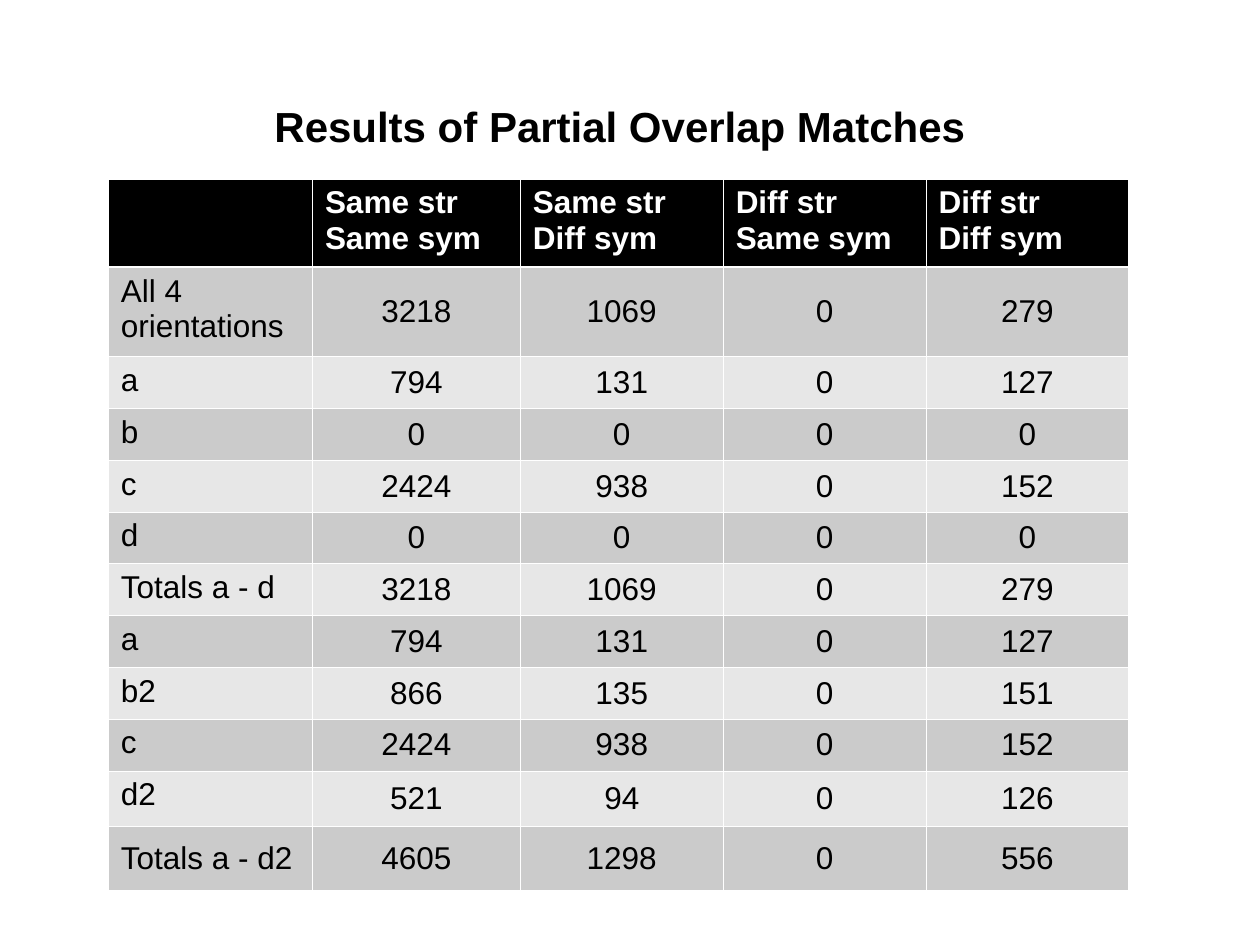
import pptx
import pptx.util
import pptx.dml.color
import pptx.enum.text
import pptx.oxml
import pptx.oxml.ns

SIZE = (10, 7.5)
TITLE = "Results of Partial Overlap Matches"
HEAD = ["", "Same str\nSame sym", "Same str\nDiff sym", "Diff str \nSame sym", "Diff str\nDiff sym"]
BODY = [
    ("All 4 orientations", 3218, 1069, 0, 279),
    ("a", 794, 131, 0, 127),
    ("b", 0, 0, 0, 0),
    ("c", 2424, 938, 0, 152),
    ("d", 0, 0, 0, 0),
    ("Totals a - d", 3218, 1069, 0, 279),
    ("a", 794, 131, 0, 127),
    ("b2", 866, 135, 0, 151),
    ("c", 2424, 938, 0, 152),
    ("d2", 521, 94, 0, 126),
    ("Totals a - d2", 4605, 1298, 0, 556),
]
ROWS = [HEAD] + BODY
LAST = len(ROWS) - 1
LEFT, TOP, WIDE, HIGH = 0.86, 1.42, 8.1, 5.65
COLS = [1.62, 1.65, 1.61, 1.61, 1.61]
TALL = {0: 0.7, 1: 0.71, LAST - 1: 0.44, LAST: 0.51}
REST = (HIGH - sum(TALL.values())) / (len(ROWS) - len(TALL))
BANDS = ["E7E7E7", "CBCBCB"]
THIN, THICK = 0.45, 1.47

Inch, Pt = pptx.util.Inches, pptx.util.Pt
ALIGN, ANCHOR = pptx.enum.text.PP_ALIGN, pptx.enum.text.MSO_ANCHOR


def tint(code):
    return pptx.dml.color.RGBColor.from_string(code)


def style(frame, code, size, bold, align):
    looks = {"name": "Arial", "size": Pt(size), "bold": bold}
    for para in frame.paragraphs:
        para.alignment = align
        for key, val in looks.items():
            setattr(para.font, key, val)
        para.font.color.rgb = tint(code)
        for run in para.runs:
            for key, val in looks.items():
                setattr(run.font, key, val)
            run.font.color.rgb = tint(code)


def edge(cell, side, width):
    cell._tc.get_or_add_tcPr().append(pptx.oxml.parse_xml(
        f'<a:ln{side} {pptx.oxml.ns.nsdecls("a")} w="{int(Pt(width))}">'
        f'<a:solidFill><a:srgbClr val="FFFFFF"/></a:solidFill></a:ln{side}>'))


deck = pptx.Presentation()
deck.slide_width, deck.slide_height = map(Inch, SIZE)
slide = deck.slides.add_slide(deck.slide_layouts[6])

grid = slide.shapes.add_table(
    len(ROWS), len(COLS), *map(Inch, (LEFT, TOP, WIDE, HIGH))).table
for col, wide in zip(grid.columns, COLS):
    col.width = Inch(wide)

for r, row in enumerate(ROWS):
    grid.rows[r].height = Inch(TALL.get(r, REST))
    top = r == 0
    lines = {"L": THIN, "R": THIN, "T": THICK if r == 1 else THIN, "B": THICK if top else THIN}
    for c, text in enumerate(row):
        cell = grid.cell(r, c)
        cell.text = str(text)
        value = c > 0 and not top
        cell.vertical_anchor = ANCHOR.MIDDLE if value or r == LAST else ANCHOR.TOP
        for side, width in lines.items():
            edge(cell, side, width)
        cell.fill.solid()
        cell.fill.fore_color.rgb = tint("000000" if top else BANDS[r % 2])
        style(cell.text_frame, "FFFFFF" if top else "000000", 18, top,
              ALIGN.CENTER if value else ALIGN.LEFT)

frame = slide.shapes.add_textbox(*map(Inch, (2.08, 0.75, 6.06, 0.5))).text_frame
frame.word_wrap = True
frame.auto_size = pptx.enum.text.MSO_AUTO_SIZE.SHAPE_TO_FIT_TEXT
frame.text = TITLE
frame.paragraphs[0].space_before = Pt(15)
style(frame, "000000", 24, True, ALIGN.LEFT)

deck.save("out.pptx")
